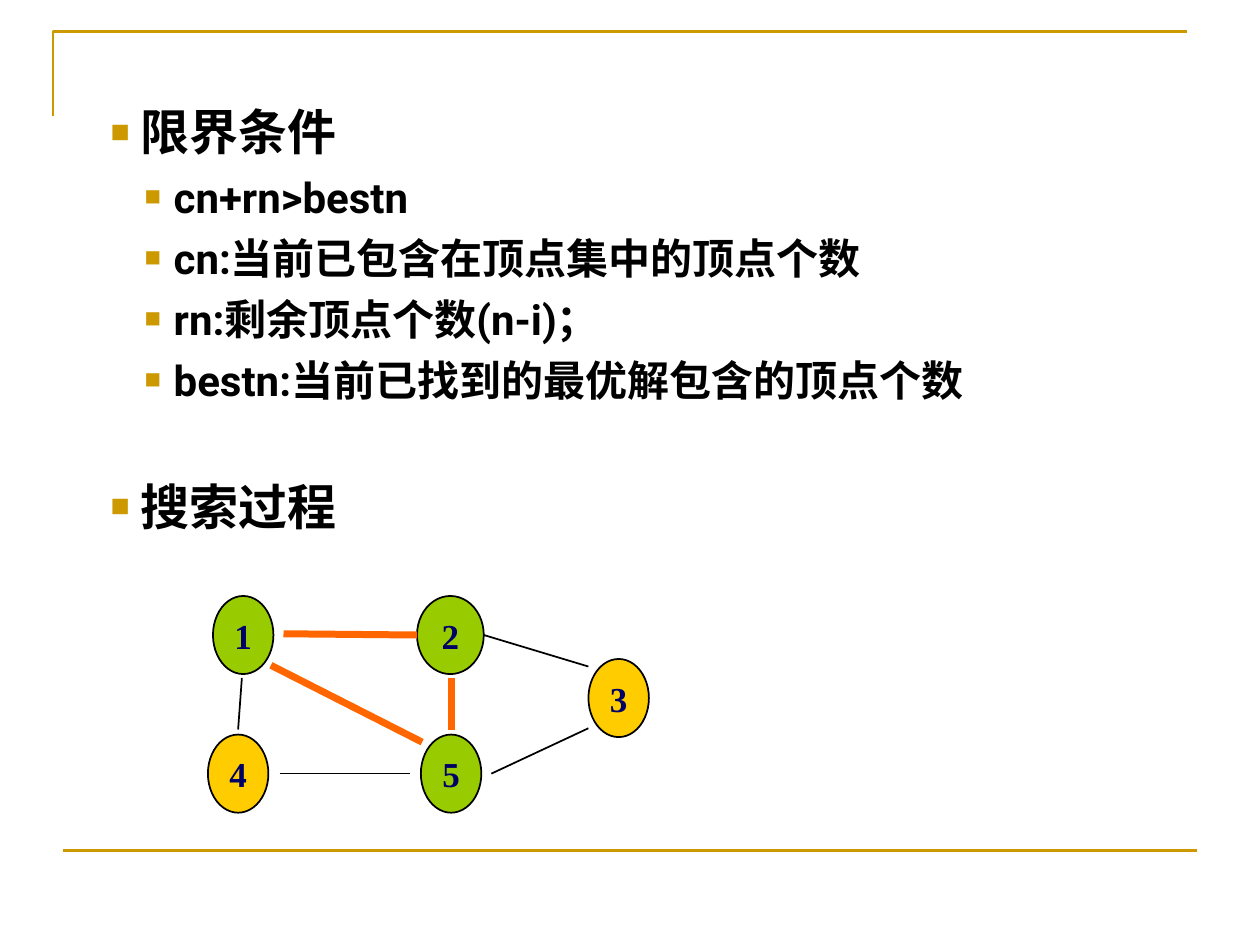
from dataclasses import dataclass

from lxml.etree import SubElement
from pptx import Presentation
from pptx.dml.color import RGBColor
from pptx.enum.shapes import MSO_CONNECTOR, MSO_SHAPE
from pptx.enum.text import MSO_ANCHOR, PP_ALIGN
from pptx.oxml.ns import qn
from pptx.util import Inches, Pt


@dataclass(frozen=True)
class Theme:
    gold: str = "CC9900"
    black: str = "000000"
    navy: str = "000066"
    green: str = "99CC00"
    yellow: str = "FFCC00"
    orange: str = "FF6600"
    heading: int = 28
    body: int = 24
    label: int = 20
    frame_line: float = 1.5
    thin: float = 1
    thick: float = 4


def rgb(color):
    return RGBColor.from_string(color)


def write(p, text, size, font, color, align=PP_ALIGN.LEFT, before=0):
    p.alignment = align
    p.space_before = Pt(before)
    r = p.add_run()
    r.text = text
    r.font.size = Pt(size)
    r.font.name = font
    r.font.bold = True
    r.font.color.rgb = rgb(color)


def add_bullet(p, color, margin, hanging):
    pPr = p._p.get_or_add_pPr()
    pPr.set("marL", str(Inches(margin)))
    pPr.set("indent", str(-Inches(hanging)))
    SubElement(SubElement(pPr, qn("a:buClr")), qn("a:srgbClr"), val=color)
    SubElement(pPr, qn("a:buSzPct"), val="65000")
    SubElement(pPr, qn("a:buFont"), typeface="Arial")
    SubElement(pPr, qn("a:buChar"), char="■")


class Deck:
    def __init__(self, theme):
        self.theme = theme
        self.prs = Presentation()
        self.prs.slide_width, self.prs.slide_height = Inches(10), Inches(7.5)
        self.s = self.prs.slides.add_slide(self.prs.slide_layouts[6])

    def line(self, start, end, color, width, parent=None):
        c = (parent or self.s).shapes.add_connector(
            MSO_CONNECTOR.STRAIGHT, *map(Inches, start + end))
        c.line.color.rgb = rgb(color)
        c.line.width = Pt(width)
        SubElement(c._element.spPr, qn("a:effectLst"))

    def corner(self, points):
        points = [(Inches(x), Inches(y)) for x, y in points]
        builder = self.s.shapes.build_freeform(*points[0])
        builder.add_line_segments(points[1:], close=False)
        sp = builder.convert_to_shape()
        sp.shadow.inherit = False
        sp.fill.background()
        sp.line.color.rgb = rgb(self.theme.gold)
        sp.line.width = Pt(self.theme.frame_line)

    def bullets(self, box, items):
        t = self.theme
        tf = self.s.shapes.add_textbox(*map(Inches, box)).text_frame
        tf.word_wrap = True
        for i, (level, text, before) in enumerate(items):
            p = tf.paragraphs[0] if i == 0 else tf.add_paragraph()
            p.level = level
            size, font = ((t.heading, "Arial"), (t.body, "Roboto"))[level]
            write(p, text, size, font, t.black, before=before)
            add_bullet(p, t.gold, *((0.24, 0.24), (0.5, 0.23))[level])

    def node(self, group, text, left, top, color, width=0.48):
        t = self.theme
        sp = group.shapes.add_shape(
            MSO_SHAPE.OVAL, *map(Inches, (left, top, width, 0.62)))
        sp.shadow.inherit = False
        sp.fill.solid()
        sp.fill.fore_color.rgb = rgb(color)
        sp.line.color.rgb = rgb(t.black)
        sp.line.width = Pt(t.thin)
        tf = sp.text_frame
        tf.word_wrap = False
        tf.vertical_anchor = MSO_ANCHOR.MIDDLE
        write(tf.paragraphs[0], text, t.label, "Times New Roman", t.navy,
              align=PP_ALIGN.CENTER)


def main():
    t = Theme()
    deck = Deck(t)

    # Frame
    deck.corner([(0.42, 0.92), (0.42, 0.25), (9.42, 0.25)])
    deck.line((0.5, 6.75), (9.5, 6.75), t.gold, t.frame_line)

    # Bounding condition and search heading
    deck.bullets((0.78, 0.76, 8.39, 4.12), [
        (0, "限界条件", 0),
        (1, "cn+rn>bestn", 6),
        (1, "cn:当前已包含在顶点集中的顶点个数", 6),
        (1, "rn:剩余顶点个数(n-i)；", 6),
        (1, "bestn:当前已找到的最优解包含的顶点个数", 6),
        (0, "搜索过程", 41),
    ])

    # Graph nodes: the clique is green
    graph = deck.s.shapes.add_group_shape()
    top, bottom = 4.73, 5.83
    deck.node(graph, "1", 1.69, top, t.green)
    deck.node(graph, "2", 3.31, top, t.green, width=0.53)
    deck.node(graph, "4", 1.65, bottom, t.yellow)
    deck.node(graph, "5", 3.34, bottom, t.green)
    deck.node(graph, "3", 4.67, 5.23, t.yellow)

    # Graph edges: clique edges are thick
    clique_edges = [
        ((2.25, 5.03), (3.31, 5.04)),
        ((3.58, 5.79), (3.58, 5.38)),
        ((2.15, 5.28), (3.35, 5.89)),
    ]
    other_edges = [
        ((1.92, 5.38), (1.89, 5.79)),
        ((2.22, 6.14), (3.25, 6.14)),
        ((4.67, 5.29), (3.84, 5.04)),
        ((3.9, 6.14), (4.67, 5.78)),
    ]
    for edges, color, width in ((clique_edges, t.orange, t.thick),
                                (other_edges, t.black, t.thin)):
        for start, end in edges:
            deck.line(start, end, color, width, parent=graph)

    deck.prs.save("out.pptx")


if __name__ == "__main__":
    main()
